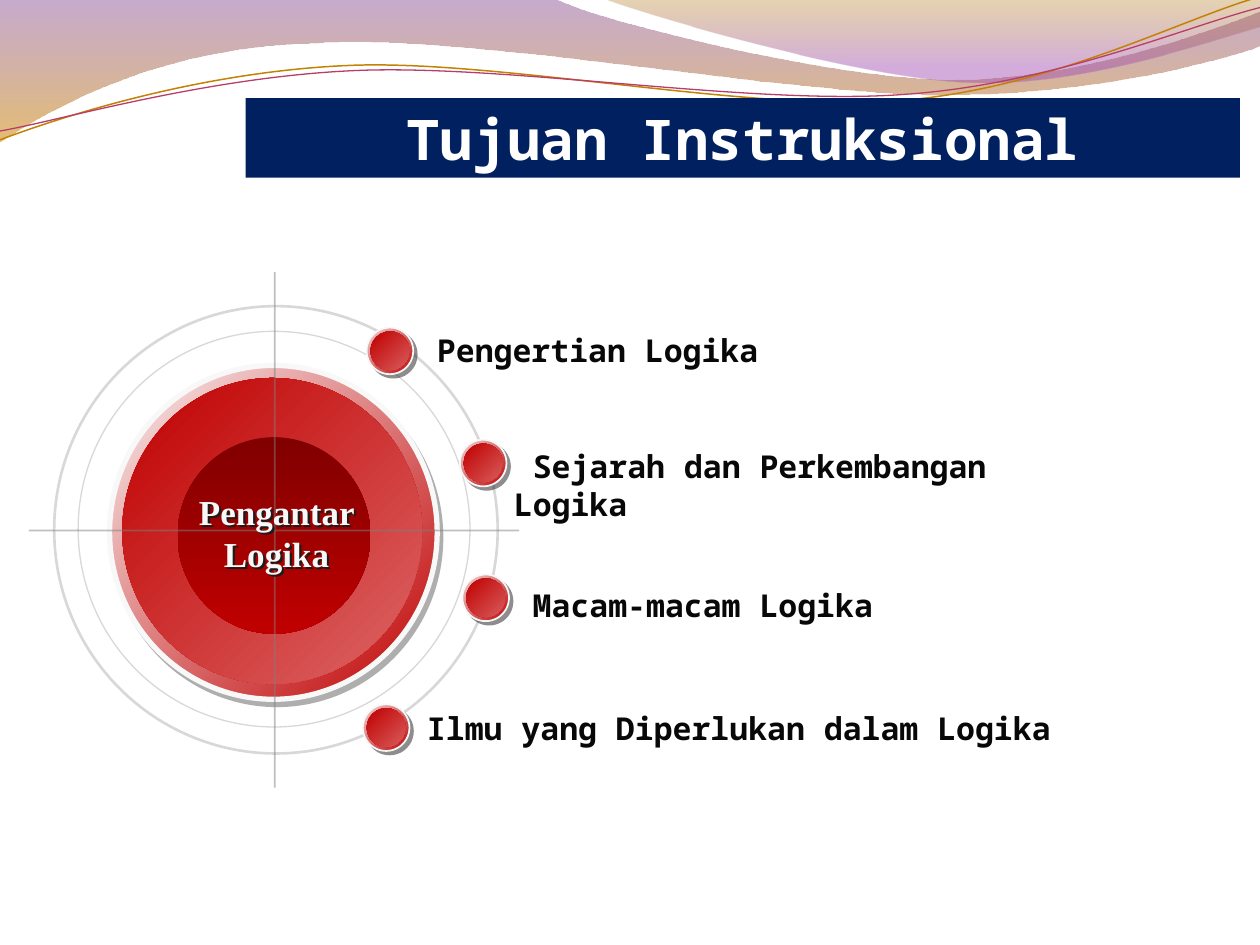
from lxml.etree import SubElement
from pptx import Presentation
from pptx.dml.color import RGBColor
from pptx.enum.shapes import MSO_CONNECTOR, MSO_SHAPE
from pptx.enum.text import MSO_ANCHOR, PP_ALIGN
from pptx.oxml.ns import qn
from pptx.util import Inches, Pt


class Theme:
    navy, white, ink, pale = "002060", "FFFFFF", "080808", "F8F8F8"
    red, deep_red, ring, axis = "C00000", "800000", "B2B2B2", "808080"
    gold, rose = "C48205", "B83D68"
    ribbon_left = [(0, "834591", 45), (1, "CF8700", 55)]
    ribbon_right = [(0, "A96E00", 30), (0.8, "A14BB4", 45)]
    rim = [(0, "F9F2F2", 100), (1, red, 100)]
    disc = [(0, red, 100), (1, "DC6666", 100)]
    core = [(0, deep_red, 100), (1, red, 100)]
    dot_rim = [(0, "EFDCDC", 100), (1, red, 100)]
    dot = [(0, red, 100), (1, "D85C5C", 100)]
    # Shadows: colour, distance, angle, opacity
    disc_shadow, dot_shadow = ("5F5F5F", 3.6, 56, 50), ("1C1C1C", 2.8, 45, 50)
    text_shadow = ("1C1C1C", 1.8, 45, 100)
    mono, serif = "Noto Sans Mono", "Times New Roman"
    title_size, label_size, core_size = Pt(32), Pt(18), Pt(20)


def add_opacity(srgb, opacity):
    SubElement(srgb, qn("a:alpha"), val=str(opacity * 1000))


def paint(sp, stops=None, angle=90, line=None, shadow=None):
    """Fill with (position, colour, opacity) stops; line is (colour, width, opacity)."""
    sp.shadow.inherit = False
    if stops:
        sp.fill.gradient()
        sp.fill.gradient_angle = 360 - angle
        for stop, (position, color, _) in zip(sp.fill.gradient_stops, stops):
            stop.position = position
            stop.color.rgb = RGBColor.from_string(color)
        grad = sp._element.spPr.find(qn("a:gradFill"))
        for srgb, (_, _, opacity) in zip(grad.iter(qn("a:srgbClr")), stops):
            add_opacity(srgb, opacity)
    else:
        sp.fill.background()
    if line:
        color, width, opacity = line
        sp.line.color.rgb = RGBColor.from_string(color)
        sp.line.width = Pt(width)
        add_opacity(next(sp.line._ln.iter(qn("a:srgbClr"))), opacity)
    else:
        sp.line.fill.background()
    if shadow:
        color, distance, direction, opacity = shadow
        outer = SubElement(sp._element.spPr.find(qn("a:effectLst")), qn("a:outerShdw"),
                           dist=str(Pt(distance)), dir=str(direction * 60000),
                           algn="ctr", rotWithShape="0")
        add_opacity(SubElement(outer, qn("a:srgbClr"), val=color), opacity)


prs = Presentation()
prs.slide_width, prs.slide_height = Inches(10), Inches(7.5)
s = prs.slides.add_slide(prs.slide_layouts[6])

# Header waves: a start point, then corners (2 numbers) and Bezier curves (6 numbers)
waves = [
    ((0, 0), [(4.4, -0.01), (4.76, 0.17, 6.64, 0.63, 7.58, 0.63),
              (8.53, 0.63, 9.58, 0.26, 10, 0.09), (10.01, 0.36),
              (9.83, 0.44, 8.7, 0.76, 7.46, 0.75),
              (6.22, 0.75, 3.82, 0.28, 2.57, 0.34),
              (1.29, 0.36, 0.46, 0.83, -0.01, 1.13), (0, 0)], Theme.ribbon_left, None),
    ((4.79, -0.01), [(5.09, 0.11, 6.82, 0.62, 7.69, 0.65),
                     (8.56, 0.69, 9.61, 0.32, 10, 0.21), (10, 0), (4.79, -0.01)],
     Theme.ribbon_right, None),
    ((0, 1.11), [(0.48, 0.93, 1.58, 0.57, 2.77, 0.52),
                 (3.95, 0.47, 5.93, 0.89, 7.13, 0.8),
                 (8.33, 0.71, 9.38, 0.15, 9.98, -0.02)], None, (Theme.gold, 0.85, 100)),
    ((0, 1.04), [(0.47, 0.96, 1.64, 0.61, 2.83, 0.56),
                 (4.03, 0.51, 5.97, 0.84, 7.17, 0.75),
                 (8.36, 0.67, 9.41, 0.21, 10, 0.06)], None, (Theme.rose, 0.75, 100)),
]
for start, segments, stops, line in waves:
    builder = s.shapes.build_freeform(Inches(start[0]), Inches(start[1]))
    builder.add_line_segments([(Inches(seg[-2]), Inches(seg[-1])) for seg in segments],
                              close=stops is not None)
    wave = builder.convert_to_shape()
    # Turn the straight segments that have control points into curves
    straights = list(wave._element.iter(qn("a:lnTo")))
    for straight, seg in zip(straights, segments):
        if len(seg) == 6:
            curve = straight.makeelement(qn("a:cubicBezTo"))
            for x, y in zip(seg[::2], seg[1::2]):
                SubElement(curve, qn("a:pt"), x=str(Inches(x) - wave.left),
                           y=str(Inches(y) - wave.top))
            straight.getparent().replace(straight, curve)
    paint(wave, stops, line=line)

# Title bar
title = s.shapes.add_shape(MSO_SHAPE.RECTANGLE, Inches(1.95), Inches(0.78),
                           Inches(7.89), Inches(0.63))
paint(title)
title.fill.solid()
title.fill.fore_color.rgb = RGBColor.from_string(Theme.navy)
tf = title.text_frame
tf.vertical_anchor = MSO_ANCHOR.MIDDLE
p = tf.paragraphs[0]
p.text = "Tujuan Instruksional"
p.alignment = PP_ALIGN.CENTER
p.font.name, p.font.size, p.font.bold = Theme.mono, Theme.title_size, True
p.font.color.rgb = RGBColor.from_string(Theme.white)

# Target: rings and discs from back to front
discs = [
    (0.62, 2.63, 3.11, 3.14, None, 0, (Theme.ring, 0.75, 50), None),
    (0.87, 2.9, 2.6, 2.65, Theme.rim, 45, (Theme.pale, 3, 100), Theme.disc_shadow),
    (0.97, 3, 2.38, 2.43, Theme.disc, 45, None, None),
    (1.41, 3.47, 1.53, 1.56, Theme.core, 90, None, None),
    (0.43, 2.43, 3.52, 3.55, None, 0, (Theme.ring, 1.5, 50), None),
]
for x, y, w, h, stops, angle, line, shadow in discs:
    sp = s.shapes.add_shape(MSO_SHAPE.OVAL, Inches(x), Inches(y), Inches(w), Inches(h))
    paint(sp, stops, angle, line, shadow)

# Cross hairs
for ends in [(0.23, 4.21, 4.12, 4.21), (2.18, 2.16, 2.18, 6.25)]:
    hair = s.shapes.add_connector(MSO_CONNECTOR.STRAIGHT, *map(Inches, ends))
    hair.line.color.rgb = RGBColor.from_string(Theme.axis)
    hair.line.width = Pt(1)
    add_opacity(next(hair.line._ln.iter(qn("a:srgbClr"))), 50)
    SubElement(hair._element.spPr, qn("a:effectLst"))

# Centre caption
box = s.shapes.add_textbox(Inches(1.11), Inches(3.84), Inches(2.17), Inches(0.77))
paint(box, shadow=Theme.text_shadow)
tf = box.text_frame
tf.word_wrap = True
p = tf.paragraphs[0]
p.text = "Pengantar Logika"
p.alignment = PP_ALIGN.CENTER
p.font.name, p.font.size, p.font.bold = Theme.serif, Theme.core_size, True
p.font.color.rgb = RGBColor.from_string(Theme.pale)

# Topics: dot position, then label position and width
topics = [
    ("Pengertian Logika", 2.91, 2.6, 3.22, 2.58, 3.5),
    ("Sejarah dan Perkembangan Logika", 3.65, 3.49, 3.98, 3.5, 4.69),
    ("Macam-macam Logika", 3.67, 4.56, 3.98, 4.6, 3.5),
    ("Ilmu yang Diperlukan dalam Logika", 2.88, 5.59, 3.14, 5.58, 5.85),
]
for label, dot_x, dot_y, x, y, width in topics:
    for inset, stops, line, shadow in [
            (0, Theme.dot_rim, (Theme.pale, 1, 100), Theme.dot_shadow),
            (0.03, Theme.dot, None, None)]:
        size = Inches(0.37 - 2 * inset)
        sp = s.shapes.add_shape(MSO_SHAPE.OVAL, Inches(dot_x + inset),
                                Inches(dot_y + inset), size, size)
        paint(sp, stops, 45, line, shadow)
    box = s.shapes.add_textbox(Inches(x), Inches(y), Inches(width), Inches(0.4))
    tf = box.text_frame
    tf.word_wrap = True
    p = tf.paragraphs[0]
    p.text = label
    p._p.get_or_add_pPr().set("indent", str(Inches(0.15)))
    p.font.name, p.font.size, p.font.bold = Theme.mono, Theme.label_size, True
    p.font.color.rgb = RGBColor.from_string(Theme.ink)

prs.save("out.pptx")
